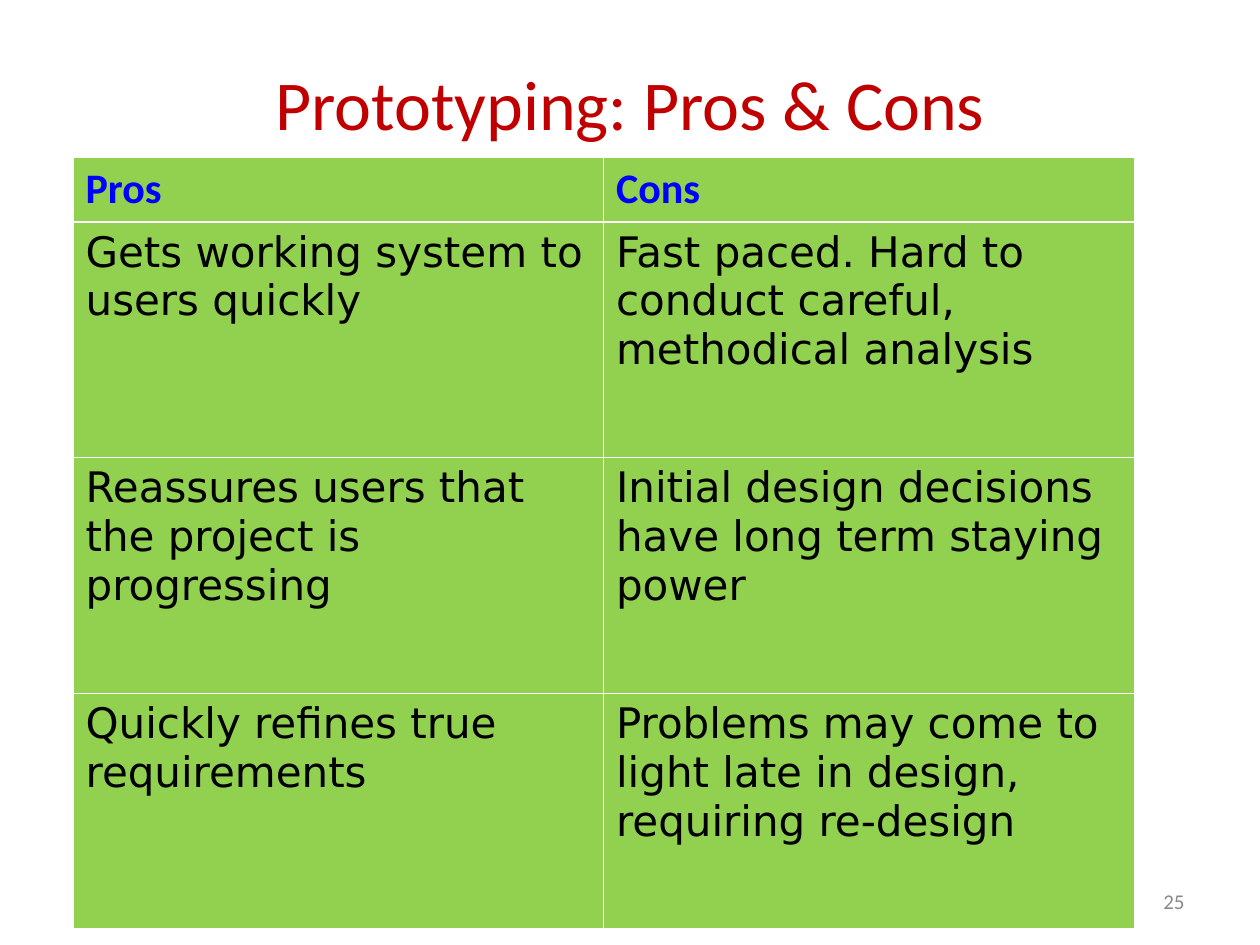
"""Build the slide that weighs the pros and cons of prototyping."""
from typing import NamedTuple

from lxml.etree import SubElement
from pptx import Presentation
from pptx.dml.color import RGBColor
from pptx.enum.text import MSO_ANCHOR, PP_ALIGN
from pptx.oxml.ns import qn
from pptx.util import Inches, Pt

GREEN = "92D050"
WHITE = "FFFFFF"
THIN, THICK = 0.45, 1.47


class TextStyle(NamedTuple):
    """Look of a paragraph."""
    size: int
    font: str
    color: str
    bold: bool = False
    align: PP_ALIGN = PP_ALIGN.LEFT


class Comparison(NamedTuple):
    """One row of the table."""
    pro: str
    con: str


TITLE = TextStyle(40, "Calibri", "C00000", align=PP_ALIGN.CENTER)
HEADING = TextStyle(24, "Calibri", "0000FF", bold=True)
POINT = TextStyle(24, "DejaVu Sans", "000000")
PAGE_NUMBER = TextStyle(12, "Calibri", "898989", align=PP_ALIGN.RIGHT)

COMPARISONS = [
    Comparison("Pros", "Cons"),
    Comparison("Gets working system to users quickly",
               "Fast paced. Hard to conduct careful, methodical analysis"),
    Comparison("Reassures users that the project is progressing",
               "Initial design decisions have long term staying power"),
    Comparison("Quickly refines true requirements",
               "Problems may come to light late in design, requiring re-design"),
]


def rgb(color: str) -> RGBColor:
    """Turn a hex string into a colour."""
    return RGBColor.from_string(color)


def write(frame, text: str, style: TextStyle) -> None:
    """Put one styled paragraph into a text frame."""
    frame.text = text
    paragraph = frame.paragraphs[0]
    paragraph.alignment = style.align
    font = paragraph.font
    font.size, font.name, font.bold = Pt(style.size), style.font, style.bold
    font.color.rgb = rgb(style.color)


def place(shape, left: float, top: float, width: float, height: float) -> None:
    """Position a shape, in inches."""
    shape.left, shape.top = Inches(left), Inches(top)
    shape.width, shape.height = Inches(width), Inches(height)


def set_borders(cell, top: float, bottom: float) -> None:
    """Draw white cell borders with the given widths in points."""
    properties = cell._tc.get_or_add_tcPr()
    widths = {"a:lnL": THIN, "a:lnR": THIN, "a:lnT": top, "a:lnB": bottom}
    for position, (tag, width) in enumerate(widths.items()):
        border = SubElement(properties, qn(tag), w=str(int(Pt(width))))
        fill = SubElement(border, qn("a:solidFill"))
        SubElement(fill, qn("a:srgbClr"), val=WHITE)
        properties.insert(position, border)


def add_comparison_table(slide, comparisons: list[Comparison]) -> None:
    """Add the green table with a heading row and equal rows below."""
    table = slide.shapes.add_table(
        len(comparisons), 2, Inches(0.58), Inches(1.25), Inches(8.42), Inches(6.12)
    ).table
    for row_number, comparison in enumerate(comparisons):
        is_heading = row_number == 0
        table.rows[row_number].height = Inches(0.51 if is_heading else 1.87)
        for column_number, text in enumerate(comparison):
            cell = table.cell(row_number, column_number)
            write(cell.text_frame, text, HEADING if is_heading else POINT)
            cell.fill.solid()
            cell.fill.fore_color.rgb = rgb(GREEN)
            set_borders(cell, THICK if row_number == 1 else THIN,
                        THICK if is_heading else THIN)


def main() -> None:
    """Build and save the presentation."""
    presentation = Presentation()
    presentation.slide_width, presentation.slide_height = Inches(10), Inches(7.5)
    slide = presentation.slides.add_slide(presentation.slide_layouts[5])

    title = slide.shapes.title
    place(title, 0.5, 0.3, 9, 1.03)
    title.text_frame.vertical_anchor = MSO_ANCHOR.MIDDLE
    write(title.text_frame, "Prototyping: Pros & Cons", TITLE)

    add_comparison_table(slide, COMPARISONS)

    page_number = slide.shapes.add_textbox(
        Inches(7.17), Inches(6.95), Inches(2.33), Inches(0.4))
    page_number.text_frame.word_wrap = True
    page_number.text_frame.vertical_anchor = MSO_ANCHOR.MIDDLE
    write(page_number.text_frame, "25", PAGE_NUMBER)

    presentation.save("out.pptx")


if __name__ == "__main__":
    main()
